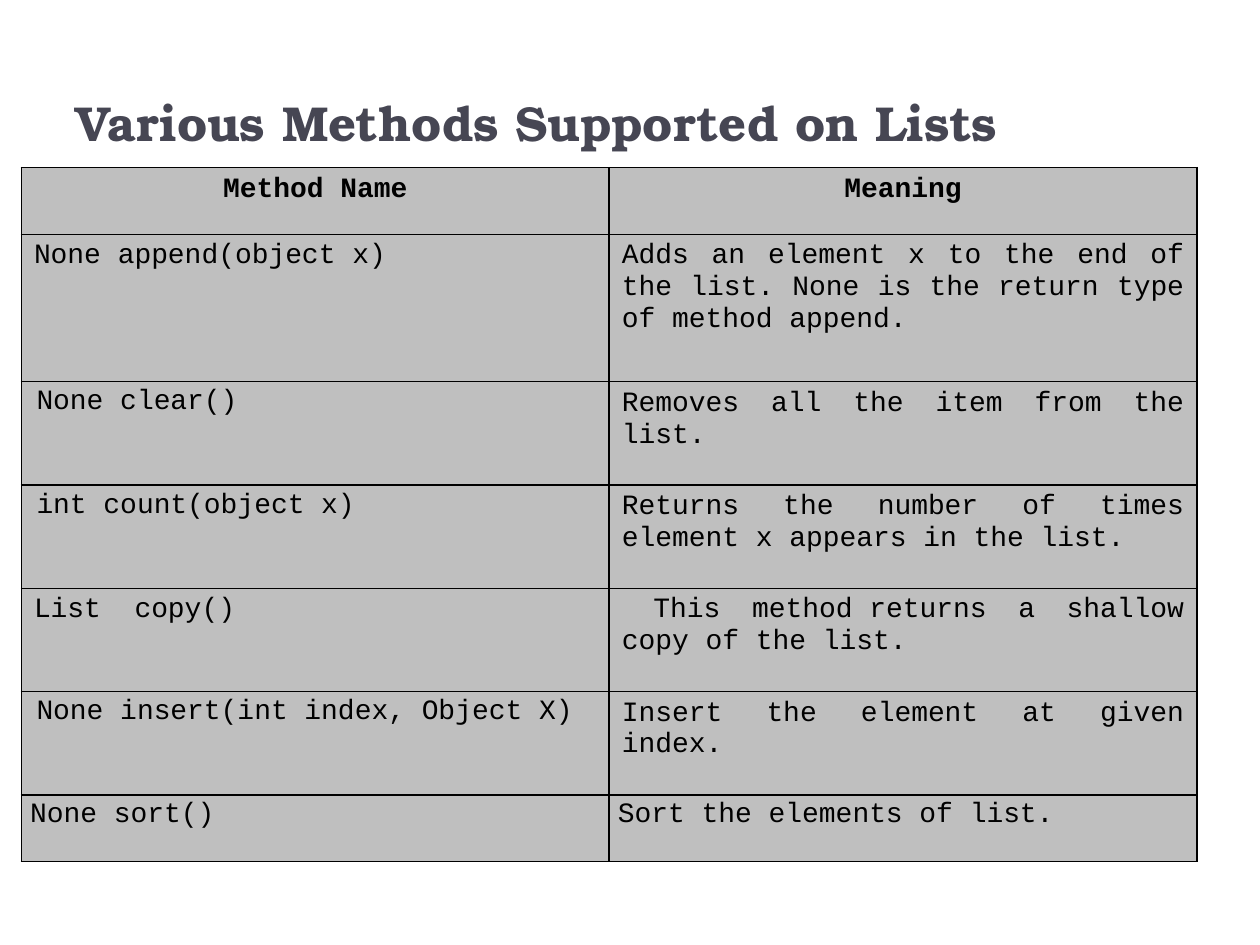
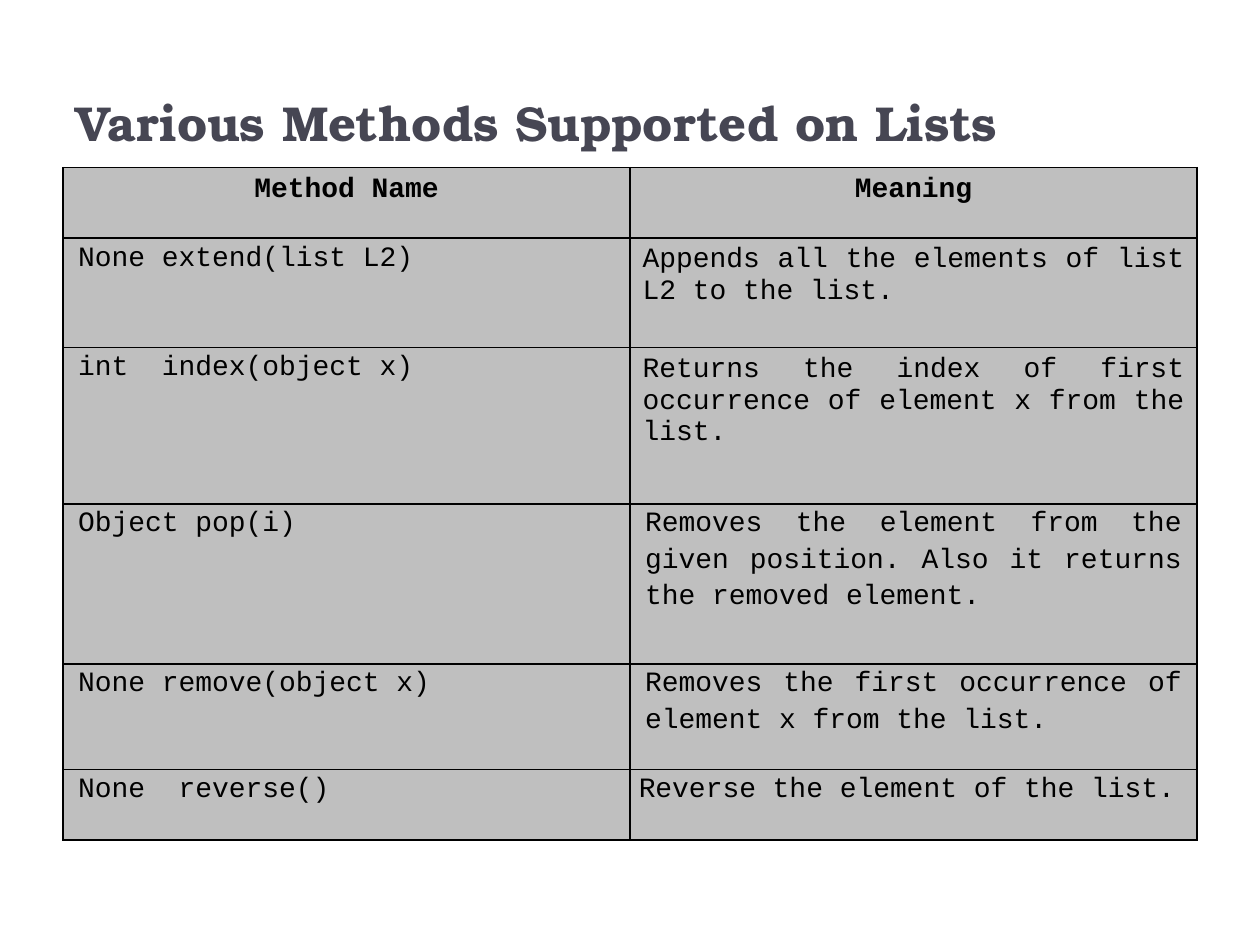
import pptx
import pptx.util
import pptx.dml.color
import pptx.enum.text
import pptx.oxml
import pptx.oxml.ns
from lxml import etree

Inches = pptx.util.Inches
Pt = pptx.util.Pt
Align = pptx.enum.text.PP_ALIGN
RGB = pptx.dml.color.RGBColor.from_string

COLOURS = {"title": "464653", "text": "000000", "cell": "BFBFBF", "border": "000000"}
TITLE = "Various Methods Supported on Lists"
TITLE_FONT = "TeX Gyre Bonum"
TABLE_FONT = "Courier New"
TABLE_TOP = 1.33
HEADER = ("Method Name", "Meaning")

# Cell styles: side margin, top and bottom margin, line spacing
STYLES = {"plain": (0.1, 0.05, 1.0), "wide": (0.12, 0, 1.15), "tight": (0.07, 0, 1.15)}

# Each row: height, method, style of method, meaning, style of meaning
TABLES = [
    {"left": 0.17, "width": 9.33, "header": 0.53, "rows": [
        (1.17, "None append(object x)", "plain",
         "Adds an element x to the end of the list. None is the return type of method append.",
         "plain"),
        (0.82, "None clear()", "wide", "Removes all the item from the list.", "plain"),
        (0.82, "int count(object x)", "wide",
         "Returns the number of times element x appears in the list.", "plain"),
        (0.82, "List  copy()", "plain",
         " This method\u00a0returns a shallow copy of the list.", "plain"),
        (0.82, "None insert(int index, Object X)", "wide",
         "Insert the element at given index.", "plain"),
        (0.53, "None sort()", "tight", "Sort the elements of list.", "tight"),
    ]},
    {"left": 0.5, "width": 9, "header": 0.56, "rows": [
        (0.87, "None extend(list L2)", "wide",
         "Appends all the elements of list L2 to the list.", "plain"),
        (1.24, "int  index(object x)", "wide",
         "Returns the index of first occurrence of element x from the list.", "plain"),
        (1.27, "Object pop(i)", "wide",
         "Removes the element from the given position. Also it returns the removed element.",
         "wide"),
        (0.84, "None remove(object x)", "wide",
         "Removes the first occurrence of element x from the list.", "wide"),
        (0.56, "None  reverse()", "wide", "Reverse the element of the list.", "tight"),
    ]},
]


def add_title(page):
    box = page.shapes.add_textbox(Inches(0.5), Inches(0.17), Inches(9), Inches(1.08))
    frame = box.text_frame
    frame.word_wrap = True
    frame.vertical_anchor = pptx.enum.text.MSO_ANCHOR.BOTTOM
    paragraph = frame.paragraphs[0]
    paragraph.text = TITLE
    paragraph.font.name = TITLE_FONT
    paragraph.font.size = Pt(28)
    paragraph.font.bold = True
    paragraph.font.color.rgb = RGB(COLOURS["title"])


def fill_cell(cell, text, style, align, bold=False):
    side, end, spacing = STYLES[style]
    cell.margin_left = cell.margin_right = Inches(side)
    cell.margin_top = cell.margin_bottom = Inches(end)
    paragraph = cell.text_frame.paragraphs[0]
    paragraph.text = text
    paragraph.alignment = align
    paragraph.line_spacing = spacing
    paragraph.font.name = TABLE_FONT
    paragraph.font.size = Pt(16)
    paragraph.font.bold = bold
    paragraph.font.color.rgb = RGB(COLOURS["text"])

    # Borders come before the fill in the cell properties
    properties = cell._tc.get_or_add_tcPr()
    for edge in ("a:lnL", "a:lnR", "a:lnT", "a:lnB"):
        line = etree.SubElement(properties, pptx.oxml.ns.qn(edge), w=str(Pt(1)))
        solid = etree.SubElement(line, pptx.oxml.ns.qn("a:solidFill"))
        etree.SubElement(solid, pptx.oxml.ns.qn("a:srgbClr"), val=COLOURS["border"])
    cell.fill.solid()
    cell.fill.fore_color.rgb = RGB(COLOURS["cell"])


deck = pptx.Presentation()
deck.slide_width = Inches(10)
deck.slide_height = Inches(7.5)

for content in TABLES:
    page = deck.slides.add_slide(deck.slide_layouts[6])
    add_title(page)

    # Table with two equal columns
    rows = content["rows"]
    heights = [content["header"]] + [row[0] for row in rows]
    table = page.shapes.add_table(
        len(heights), 2, Inches(content["left"]), Inches(TABLE_TOP),
        Inches(content["width"]), Inches(sum(heights))).table
    for column in table.columns:
        column.width = Inches(content["width"] / 2)
    for row, height in zip(table.rows, heights):
        row.height = Inches(height)

    # Header row
    for column, heading in enumerate(HEADER):
        fill_cell(table.cell(0, column), heading, "plain", Align.CENTER, bold=True)

    # Method rows
    for number, (height, method, method_style, meaning, meaning_style) in enumerate(rows, 1):
        fill_cell(table.cell(number, 0), method, method_style, Align.LEFT)
        fill_cell(table.cell(number, 1), meaning, meaning_style, Align.JUSTIFY)

deck.save("out.pptx")
